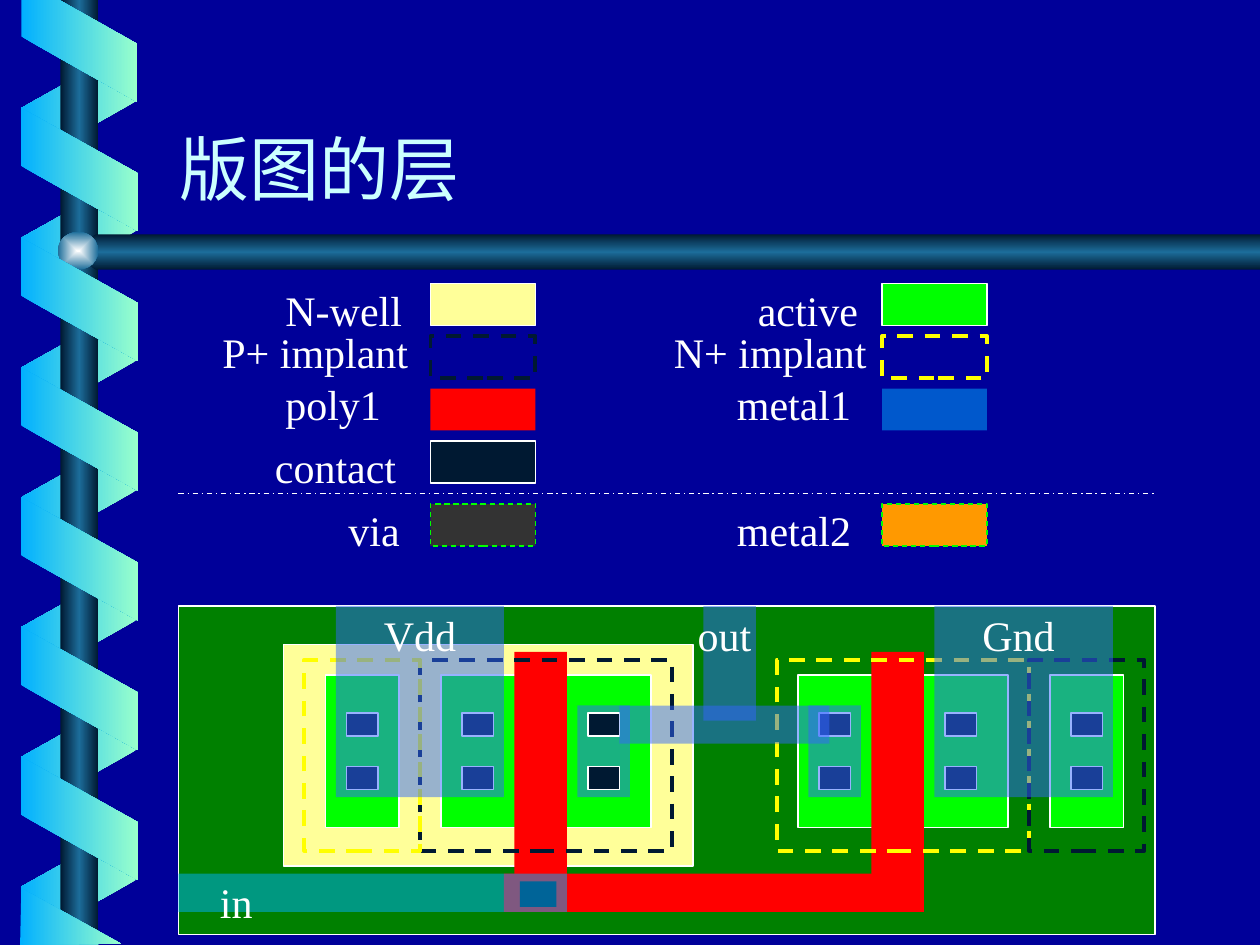
from collections import namedtuple

from lxml.etree import SubElement
from pptx import Presentation
from pptx.dml.color import RGBColor
from pptx.enum.dml import MSO_LINE
from pptx.enum.shapes import MSO_CONNECTOR, MSO_SHAPE as SHAPE
from pptx.enum.text import MSO_ANCHOR as ANCHOR, PP_ALIGN as ALIGN
from pptx.oxml.ns import qn
from pptx.util import Inches, Pt

NAVY = RGBColor(0x00, 0x00, 0x99)
WHITE = RGBColor(0xFF, 0xFF, 0xFF)
PALE_CYAN = RGBColor(0xCC, 0xFF, 0xFF)
INK = RGBColor(0x00, 0x19, 0x32)
STEEL = RGBColor(0x1C, 0x6D, 0x9A)
SKY = RGBColor(0x01, 0xB0, 0xFF)
MINT = RGBColor(0x99, 0xFF, 0xCC)
DARK_GREEN = RGBColor(0x00, 0x80, 0x00)
GREEN = RGBColor(0x00, 0xFF, 0x00)
CREAM = RGBColor(0xFF, 0xFF, 0x99)
RED = RGBColor(0xFF, 0x00, 0x00)
BLUE = RGBColor(0x33, 0x66, 0xFF)
YELLOW = RGBColor(0xFF, 0xFF, 0x00)
GRAY = RGBColor(0x33, 0x33, 0x33)
ORANGE = RGBColor(0xFF, 0x99, 0x00)

Grid = namedtuple("Grid", "left top col row")
PAGE = Grid(0, 0, 1, 1)
LEGEND = Grid(0, 0, 1 / 12, 1 / 12)
CHIP = Grid(17 / 12, 4.81, 1 / 12, 2.61 / 43)

OUTLINED = dict(line=WHITE)
LAYERS = {
    "substrate": dict(fill=DARK_GREEN, **OUTLINED),
    "N-well": dict(fill=CREAM, **OUTLINED),
    "active": dict(fill=GREEN, **OUTLINED),
    "P+ implant": dict(line=INK, width=2.25, dash=MSO_LINE.DASH),
    "N+ implant": dict(line=YELLOW, width=2.25, dash=MSO_LINE.DASH),
    "poly1": dict(fill=RED),
    "metal1": dict(fill=SKY, alpha=50),
    "power metal": dict(fill=BLUE, alpha=50),
    "contact": dict(fill=INK, **OUTLINED),
    "poly contact": dict(fill=INK),
    "via": dict(fill=GRAY, line=GREEN, dash=MSO_LINE.DASH),
    "metal2": dict(fill=ORANGE, line=GREEN, dash=MSO_LINE.DASH),
}


class Board:
    """Draws on one slide; every length counts columns and rows of the grid."""

    font, size, color = "Times New Roman", 24, WHITE

    def __init__(self, slide):
        self.slide, self.shapes, self.grid = slide, slide.shapes, PAGE

    def point(self, x, y):
        g = self.grid
        return Inches(g.left + x * g.col), Inches(g.top + y * g.row)

    def frame(self, x, y, w, h):
        return *self.point(x, y), Inches(w * self.grid.col), Inches(h * self.grid.row)

    def box(self, x, y, w, h, kind=SHAPE.RECTANGLE, fill=None, alpha=None,
            line=None, width=0.75, dash=None):
        sp = self.shapes.add_shape(kind, *self.frame(x, y, w, h))
        sp.shadow.inherit = False
        if fill is None:
            sp.fill.background()
        else:
            sp.fill.solid()
            sp.fill.fore_color.rgb = fill
        if alpha:
            clr = sp._element.spPr.find(qn("a:solidFill")).find(qn("a:srgbClr"))
            SubElement(clr, qn("a:alpha")).set("val", str(alpha * 1000))
        self.outline(sp.line, line, width, dash)
        return sp

    def outline(self, line, color, width=0.75, dash=None):
        if color is None:
            line.fill.background()
            return
        line.color.rgb = color
        line.width = Pt(width)
        if dash:
            line.dash_style = dash

    def gradient(self, sp, colors, angle=0, centered=False):
        """Spread the colors evenly, along an angle or out from the centre."""
        sp.fill.gradient()
        grad = sp._element.spPr.find(qn("a:gradFill"))
        grad.set("rotWithShape", "0")
        for child in list(grad):
            grad.remove(child)
        stops = SubElement(grad, qn("a:gsLst"))
        for i, color in enumerate(colors):
            gs = SubElement(stops, qn("a:gs"), pos=str(100000 * i // (len(colors) - 1)))
            SubElement(gs, qn("a:srgbClr"), val=str(color))
        if centered:
            shade = SubElement(grad, qn("a:path"), {"path": "rect"})
            SubElement(shade, qn("a:fillToRect"), dict.fromkeys("ltrb", "50000"))
        else:
            SubElement(grad, qn("a:lin"), ang=str(angle * 60000), scaled="1")

    def ribbon(self, y, w, h, rotation, colors, flip=False):
        sp = self.box(0.14, y, w, h, kind=SHAPE.PARALLELOGRAM)
        sp.adjustments[0] = 0.56
        sp.rotation = rotation
        if flip:
            sp._element.spPr.get_or_add_xfrm().set("flipH", "1")
        self.gradient(sp, colors)

    def outline_shape(self, points, colors, angle=0):
        start, *rest = [self.point(*p) for p in points]
        builder = self.shapes.build_freeform(*start)
        builder.add_line_segments(rest, close=True)
        sp = builder.convert_to_shape()
        sp.shadow.inherit = False
        self.outline(sp.line, None)
        self.gradient(sp, colors, angle)

    def text(self, text, x, y, w, h, size=None, color=None, font=None,
             align=ALIGN.LEFT, anchor=ANCHOR.TOP, inset=0.09):
        tf = self.shapes.add_textbox(*self.frame(x, y, w, h)).text_frame
        tf.word_wrap = True
        tf.vertical_anchor = anchor
        tf.margin_top = Inches(inset)
        p = tf.paragraphs[0]
        p.alignment = align
        r = p.add_run()
        r.text = text
        r.font.size = Pt(size or self.size)
        r.font.name = font or self.font
        r.font.color.rgb = color or self.color

    def rule(self, x1, y1, x2, y2, color, dash):
        cn = self.shapes.add_connector(
            MSO_CONNECTOR.STRAIGHT, *self.point(x1, y1), *self.point(x2, y2))
        self.outline(cn.line, color, dash=dash)
        SubElement(cn._element.spPr, qn("a:effectLst"))


def draw_backdrop(board):
    rod, front = (INK, STEEL, INK), (SKY, MINT)
    for i in range(7):
        board.ribbon(0.37 + 1.03 * i, 0.97, 0.92, 90, (MINT, SKY), flip=True)
    board.gradient(board.box(0.48, 0, 0.3, 7.5), rod)
    board.outline_shape(
        [(10, 1.86), (0.76, 1.86), (0.6, 2), (0.76, 2.14), (10, 2.14)], rod, 90)
    knob = board.box(0.46, 1.84, 0.32, 0.3, kind=SHAPE.OVAL)
    board.gradient(knob, (WHITE, STEEL), centered=True)
    for i in range(6):
        board.ribbon(0.88 + 1.03 * i, 0.98, 0.93, 270, front)
    board.outline_shape(
        [(0.17, 0), (0.17, 0.29), (1.09, 0.81), (1.09, 0.35), (0.47, 0)], front)
    board.outline_shape([(0.96, 7.49), (0.17, 7.05), (0.16, 7.5)], front)


def draw_chip(board):
    board.grid = CHIP
    contacts = [(x, y, 3, 3) for x in (16, 27, 39, 61, 73, 85) for y in (14, 21)]
    for layer, areas in (
        ("substrate", [(0, 0, 93, 43)]),
        ("N-well", [(10, 5, 39, 29)]),
        ("active", [(14, 9, 7, 20), (25, 9, 20, 20), (59, 9, 20, 20), (83, 9, 7, 20)]),
        ("poly1", [(32, 6, 5, 34), (66, 6, 5, 34)]),
        ("power metal", [(38, 13, 5, 12)]),
        ("P+ implant", [(23, 7, 24, 25)]),
        ("N+ implant", [(57, 7, 24, 25), (12, 7, 11, 25)]),
        ("P+ implant", [(81, 7, 11, 25)]),
        ("poly1", [(36, 35, 35, 5), (31, 35, 6, 5)]),
        ("poly contact", [(32.5, 36, 3.5, 3.33)]),
        ("metal1", [(0, 35, 37, 5)]),
        ("contact", contacts),
        ("power metal", [(15, 0, 16, 25), (60, 13, 5, 12), (42, 13, 20, 5),
                         (72, 0, 17, 25), (50, 0, 5, 15)]),
    ):
        for area in areas:
            board.box(*area, **LAYERS[layer])
    board.grid = LEGEND
    for label, x, y, w in (("Vdd", 33.5, 57, 13), ("Gnd", 90.5, 57, 13),
                           ("out", 62.5, 57, 13), ("in", 18.5, 82.4, 8)):
        board.text(label, x, y, w, 6, align=ALIGN.CENTER)


def draw_legend(board):
    board.grid = LEGEND
    left, right = 41, 84
    for label, swatch_x, swatch_y, x, y, w in (
        ("N-well", left, 27, 26, 26, 15), ("active", right, 27, 71, 26, 12),
        ("P+ implant", left, 32, 20, 30, 21), ("N+ implant", right, 32, 63, 30, 21),
        ("poly1", left, 37, 26, 35, 12), ("metal1", right, 37, 69, 35, 14),
        ("contact", left, 42, 25, 41, 15),
        ("via", left, 48, 32, 47, 9), ("metal2", right, 48, 69, 47, 15),
    ):
        board.box(swatch_x, swatch_y, 10, 4, **LAYERS[label])
        board.text(label, x, y, w, 6)
    board.rule(17, 47, 110, 47, WHITE, MSO_LINE.DASH_DOT)


def main():
    prs = Presentation()
    prs.slide_width, prs.slide_height = Inches(10), Inches(7.5)
    s = prs.slides.add_slide(prs.slide_layouts[6])
    s.background.fill.solid()
    s.background.fill.fore_color.rgb = NAVY
    board = Board(s)
    draw_backdrop(board)
    board.text("版图的层", 1.33, 0.46, 8.5, 1.25, size=40, color=PALE_CYAN,
               font="Roboto Condensed", anchor=ANCHOR.BOTTOM, inset=0.05)
    draw_chip(board)
    draw_legend(board)
    prs.save("out.pptx")


if __name__ == "__main__":
    main()
